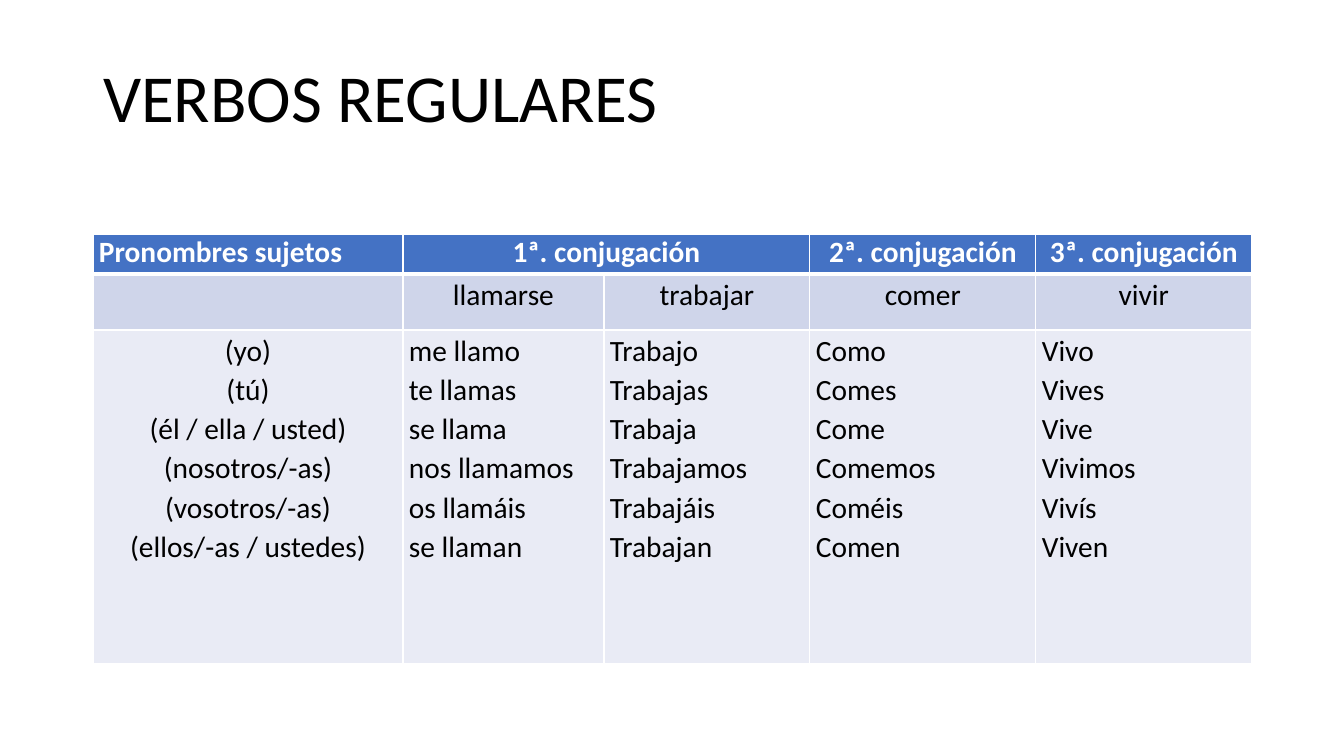
from lxml.etree import SubElement
from pptx import Presentation
from pptx.dml.color import RGBColor
from pptx.enum.text import MSO_ANCHOR, PP_ALIGN
from pptx.oxml.ns import qn
from pptx.util import Pt

PIXEL = 914400 / 100.8
BLACK = RGBColor(0x00, 0x00, 0x00)
WHITE = RGBColor(0xFF, 0xFF, 0xFF)
HEADER_BLUE = RGBColor(0x44, 0x72, 0xC4)
BAND_DARK = RGBColor(0xCF, 0xD5, 0xEA)
BAND_LIGHT = RGBColor(0xE9, 0xEB, 0xF5)

COLUMN_WIDTHS = [310, 201, 206, 226, 216]
ROW_HEIGHTS = [40, 56, 334]
HEADINGS = ["Pronombres sujetos", "1ª. conjugación", "", "2ª. conjugación", "3ª. conjugación"]
INFINITIVES = ["", "llamarse", "trabajar", "comer", "vivir"]
FORMS = [
    ["(yo)", "(tú)", "(él / ella / usted)", "(nosotros/-as)", "(vosotros/-as)", "(ellos/-as / ustedes)"],
    ["me llamo", "te llamas", "se llama", "nos llamamos", "os llamáis", "se llaman"],
    ["Trabajo", "Trabajas", "Trabaja", "Trabajamos", "Trabajáis", "Trabajan"],
    ["Como", "Comes", "Come", "Comemos", "Coméis", "Comen"],
    ["Vivo", "Vives", "Vive", "Vivimos", "Vivís", "Viven"],
]


def px(pixels):
    return round(pixels * PIXEL)


def write(frame, text, size=21, color=BLACK, bold=False, align=PP_ALIGN.LEFT, spacing=None):
    frame.text = text
    for paragraph in frame.paragraphs:
        paragraph.alignment = align
        paragraph.line_spacing = spacing
        font = paragraph.font
        font.size, font.bold, font.name = Pt(size), bold, "Calibri"
        font.color.rgb = color
        for run in paragraph.runs:
            run.font.size, run.font.bold, run.font.name = Pt(size), bold, "Calibri"
            run.font.color.rgb = color


def set_borders(cell, top, bottom):
    properties = cell._tc.get_or_add_tcPr()
    sides = {"L": 1, "R": 1, "T": top, "B": bottom}
    for place, (side, width) in enumerate(sides.items()):
        line = SubElement(properties, qn(f"a:ln{side}"), w=str(Pt(width)))
        fill = SubElement(line, qn("a:solidFill"))
        SubElement(fill, qn("a:srgbClr"), val=str(WHITE))
        properties.insert(place, line)


def add_title(slide, left, top, width, height):
    title = slide.shapes.title
    title.left, title.top, title.width, title.height = map(px, (left, top, width, height))
    title.text_frame.vertical_anchor = MSO_ANCHOR.MIDDLE
    write(title.text_frame, "VERBOS REGULARES", size=48, spacing=0.8)


def add_conjugations(slide, left, top, width, height):
    table = slide.shapes.add_table(
        len(ROW_HEIGHTS), len(COLUMN_WIDTHS), *map(px, (left, top, width, height))).table
    for column, column_width in zip(table.columns, COLUMN_WIDTHS):
        column.width = px(column_width)
    for row, row_height in zip(table.rows, ROW_HEIGHTS):
        row.height = px(row_height)
    table.cell(0, 1).merge(table.cell(0, 2))

    # Each row: cell texts, fill, top and bottom border, text format
    verb_format = dict(spacing=Pt(28))
    rows = [
        (HEADINGS, HEADER_BLUE, 1, 3, dict(color=WHITE, bold=True)),
        (INFINITIVES, BAND_DARK, 3, 1, verb_format),
        (["\n".join(forms) for forms in FORMS], BAND_LIGHT, 1, 1, verb_format),
    ]
    for r, (texts, fill, top_line, bottom_line, text_format) in enumerate(rows):
        for c, text in enumerate(texts):
            cell = table.cell(r, c)
            cell.fill.solid()
            cell.fill.fore_color.rgb = fill
            cell.margin_left = cell.margin_right = px(6)
            cell.margin_top = cell.margin_bottom = 0
            set_borders(cell, top_line, bottom_line)
            # Headings and infinitives are centred, and so are the pronouns
            centred = c > 0 if r < 2 else c == 0
            align = PP_ALIGN.CENTER if centred else PP_ALIGN.LEFT
            if text:
                write(cell.text_frame, text, align=align, **text_format)


presentation = Presentation()
presentation.slide_width, presentation.slide_height = px(1344), px(756)
verbs_slide = presentation.slides.add_slide(presentation.slide_layouts[5])
add_title(verbs_slide, 93, 20, 1159, 166)
add_conjugations(verbs_slide, 93, 234, sum(COLUMN_WIDTHS), sum(ROW_HEIGHTS))
presentation.save("out.pptx")
